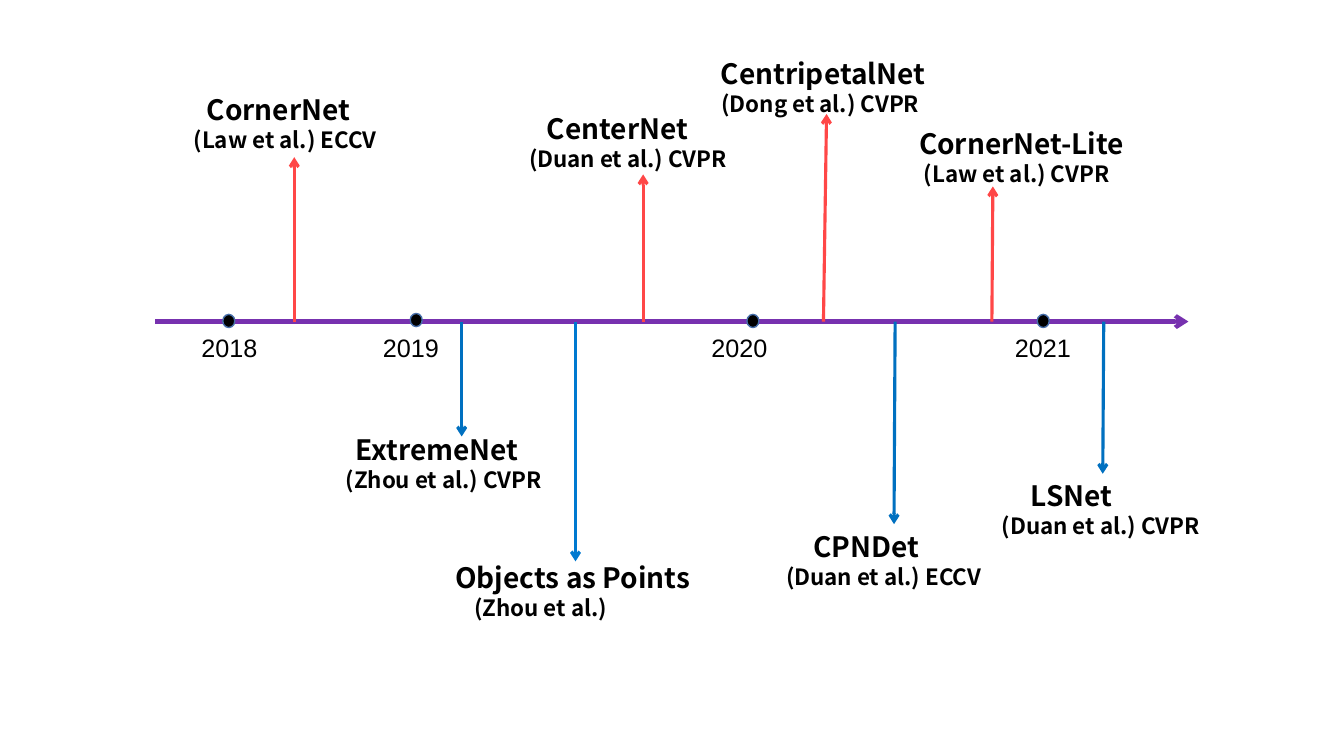
from lxml import etree
from pptx import Presentation
from pptx.dml.color import RGBColor
from pptx.enum.shapes import MSO_CONNECTOR, MSO_SHAPE
from pptx.oxml.ns import qn
from pptx.util import Pt

STRAIGHT = MSO_CONNECTOR.STRAIGHT
OVAL = MSO_SHAPE.OVAL
SANS, BOLD = "Arial", "Noto Sans CJK SC"
BLACK, RIM = "000000", "476FAA"
PURPLE, RED, BLUE, AZURE = "7731AF", "FF4747", "0070C0", "0079D0"

# Offsets in points from the left end of the axis.
# year, dot left, dot top, text left
YEARS = [
    ("2018", 48.2, -5.1, 25.9),
    ("2019", 182.1, -5.8, 155.5),
    ("2020", 422.6, -5.1, 390.2),
    ("2021", 630, -5.1, 606.9),
]
# name, authors, colour, arrow (foot x, tip x, tip y),
# label (left, top, width), indents (name, authors)
NETS = [
    ("CornerNet", "(Law et al.) ECCV", RED,
     (99.3, 99.3, -117.4), (17.3, -167.3, 190), (12.4, 3)),
    ("ExtremeNet", "(Zhou et al.) CVPR", BLUE,
     (218.9, 218.9, 82.1), (128.9, 75.6, 161), (7.2, 0)),
    ("Objects as Points", "(Zhou et al.)", AZURE,
     (300.2, 300.2, 171.3), (207.3, 167, 209), (0, 13.5)),
    ("CenterNet", "(Duan et al.) CVPR", RED,
     (348.5, 348.5, -105.1), (259.9, -153.4, 176), (12.7, 0)),
    ("CentripetalNet", "(Dong et al.) CVPR", RED,
     (477.3, 479.5, -148.3), (390.2, -193, 200), (6.7, 7.2)),
    ("CPNDet", "(Duan et al.) ECCV", BLUE,
     (528.5, 527.7, 144.7), (443.5, 144.7, 169), (19.5, 0)),
    ("CornerNet-Lite", "(Law et al.) CVPR", RED,
     (597.6, 598.3, -96.5), (538.5, -142.6, 200), (0, 3.5)),
    ("LSNet", "(Duan et al.) CVPR", BLUE,
     (677.5, 676.8, 108.7), (597.6, 108.7, 200), (20.7, 0)),
]


def color(code):
    return RGBColor.from_string(code)


def write(para, text, size, font=SANS, bold=False, indent=0):
    props = para._p.get_or_add_pPr()
    props.set("marL", str(Pt(indent)))
    props.set("indent", "0")
    run = para.add_run()
    run.text = text
    run.font.size = Pt(size)
    run.font.name = font
    run.font.bold = bold
    run.font.color.rgb = color(BLACK)


def frame(slide, x, y, w, h, wrap=True):
    box = slide.shapes.add_textbox(Pt(x), Pt(y), Pt(w), Pt(h))
    box.text_frame.word_wrap = wrap
    return box.text_frame


def arrow(slide, start, end, code, width):
    line = slide.shapes.add_connector(
        STRAIGHT, *(Pt(v) for v in (*start, *end)))
    line.line.color.rgb = color(code)
    line.line.width = Pt(width)
    etree.SubElement(line.line._get_or_add_ln(), qn("a:tailEnd"), type="arrow")
    etree.SubElement(line._element.spPr, qn("a:effectLst"))


def dot(slide, x, y):
    mark = slide.shapes.add_shape(OVAL, Pt(x), Pt(y), Pt(8.6), Pt(9.4))
    mark.shadow.inherit = False
    mark.fill.solid()
    mark.fill.fore_color.rgb = color(BLACK)
    mark.line.color.rgb = color(RIM)
    mark.line.width = Pt(1)


def axis(slide, x, y, w):
    """Draw the time axis with its year marks."""
    arrow(slide, (x, y), (x + w, y), PURPLE, 3)
    for year, left, top, text in YEARS:
        dot(slide, x + left, y + top)
        area = frame(slide, x + text, y + 4.3, 54.7, 28.8, wrap=False)
        write(area.paragraphs[0], year, 18)


def events(slide, x, y):
    """Draw the networks above and below the axis."""
    for name, team, code, (foot, tip, rise), (left, top, w), tabs in NETS:
        arrow(slide, (x + foot, y), (x + tip, y + rise), code, 2.25)
        area = frame(slide, x + left, y + top, w, 51)
        write(area.paragraphs[0], name, 20, BOLD, True, tabs[0])
        write(area.add_paragraph(), team, 16, BOLD, True, tabs[1])


def main():
    deck = Presentation()
    deck.slide_width, deck.slide_height = Pt(960), Pt(540)
    slide = deck.slides.add_slide(deck.slide_layouts[6])
    x, y = 110.9, 229.7
    axis(slide, x, y, 738)
    events(slide, x, y)
    deck.save("out.pptx")


if __name__ == "__main__":
    main()
